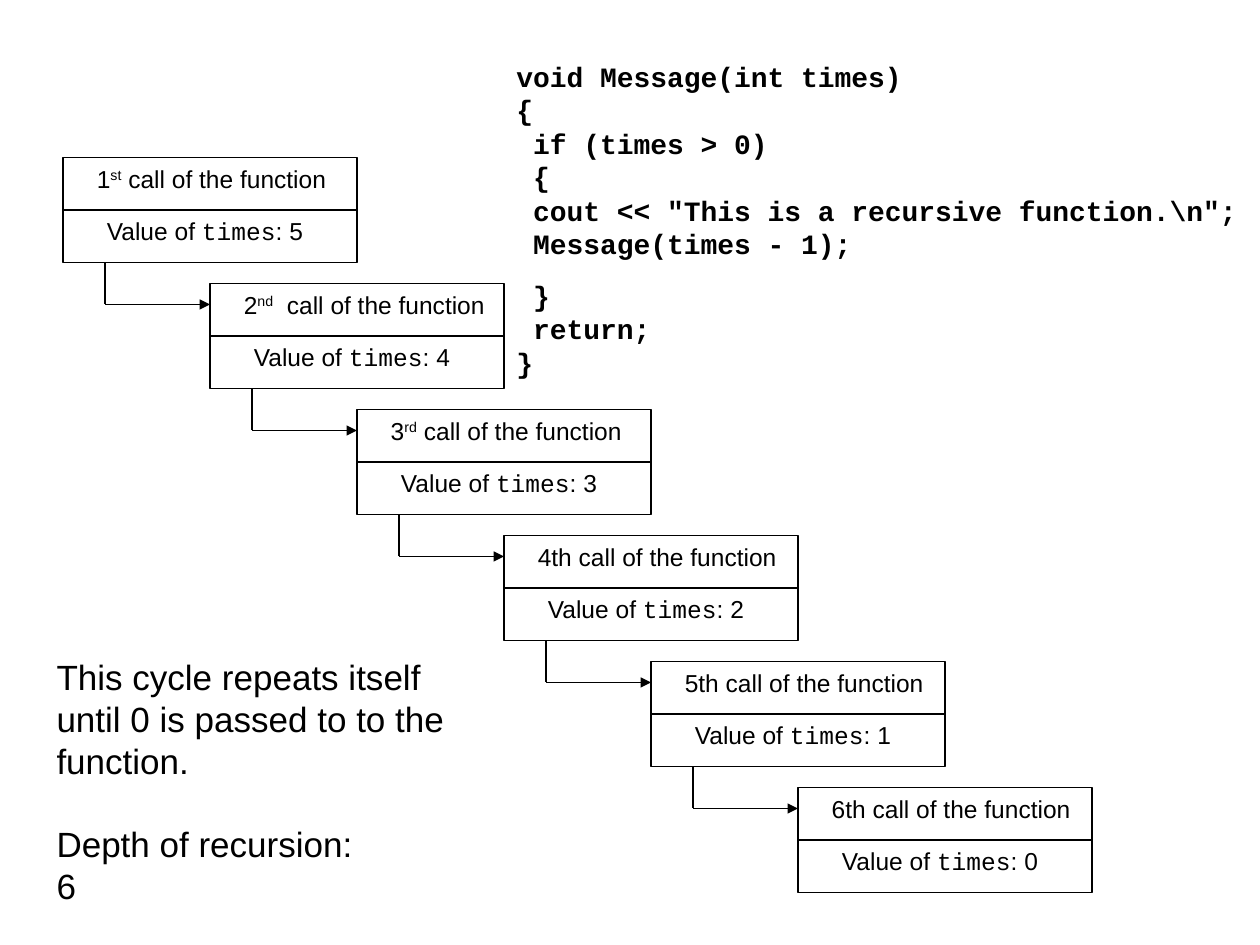
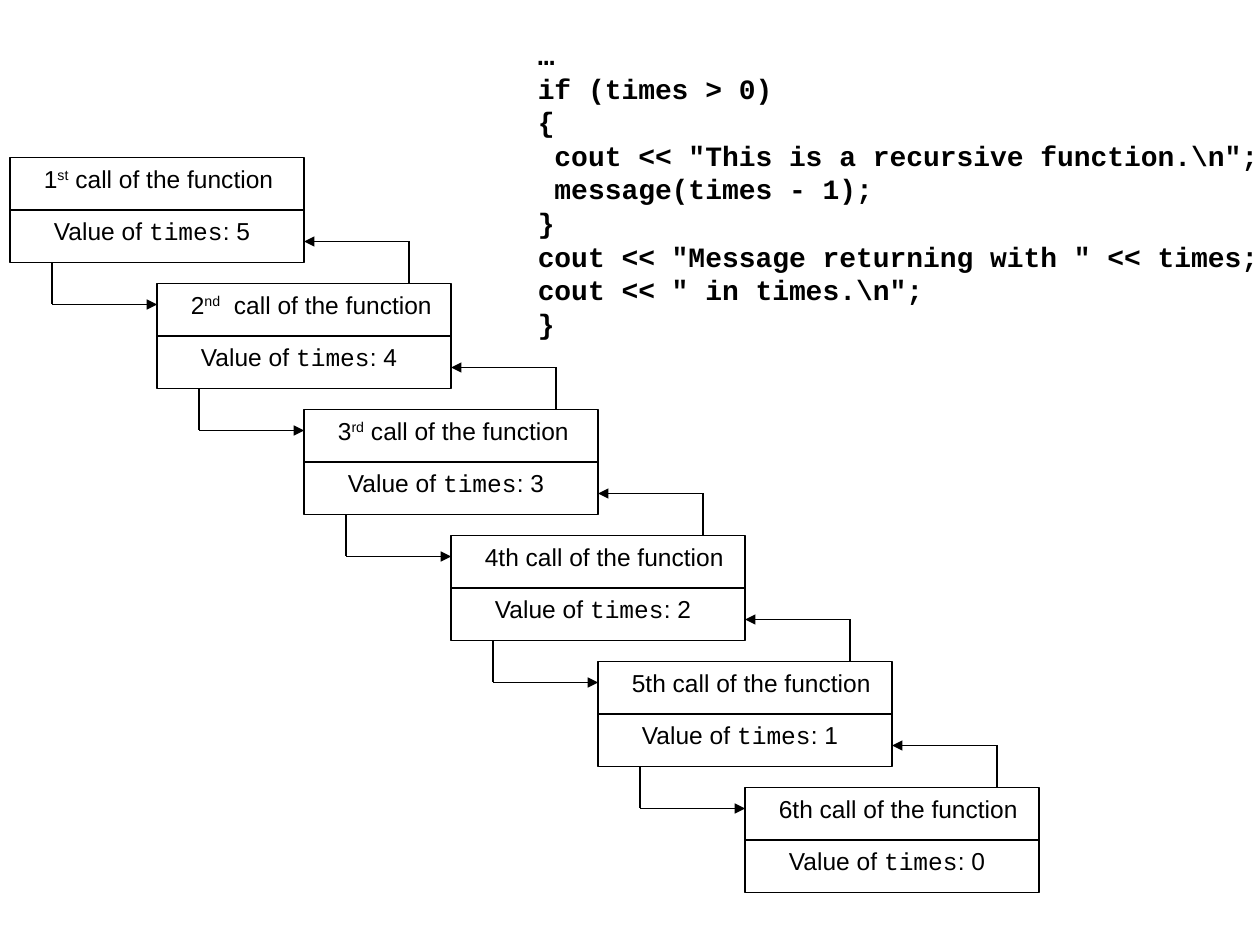
from pptx import Presentation
from pptx.dml.color import RGBColor
from pptx.enum.shapes import MSO_CONNECTOR, MSO_SHAPE
from pptx.enum.text import MSO_AUTO_SIZE
from pptx.oxml.ns import qn
from pptx.util import Inches, Pt
from lxml import etree

STRAIGHT = MSO_CONNECTOR.STRAIGHT
RECTANGLE = MSO_SHAPE.RECTANGLE
GROW = MSO_AUTO_SIZE.SHAPE_TO_FIT_TEXT

# Shared look
INK = "000000"
SANS = "Arial"
MONO = "Courier New"
LINE_WIDTH = 0.75

# Staircase of calls
STEP_X, STEP_Y = 7 / 6, 1
CALL_WIDTH, CALL_HEIGHT = 7 / 3, 5 / 6
FIRST_TOP = 1.25
ARROW_INSET = 1 / 3
ARROW_RISE = 1 / 3
CALLS = [
    ("1", "st", " call of the function"),
    ("2", "nd", "  call of the function"),
    ("3", "rd", " call of the function"),
    ("4th call of the function",),
    ("5th call of the function",),
    ("6th call of the function",),
]

CODE_CALLING = [
    ["void Message(int times)", "{", " if (times > 0)", " {",
     ' cout << "This is a recursive function.\\n";', " Message(times ‑ 1);"],
    [" }", " return;", "}"],
]
CODE_RETURNING = [
    ["…", "if (times > 0)", "{",
     ' cout << "This is a recursive function.\\n";',
     " message(times - 1);", "}",
     'cout << "Message returning with " << times;',
     'cout << " in times.\\n";', "}"],
]


def color(hex_text):
    return RGBColor.from_string(hex_text)


def add_line(page, start, end, arrow=False):
    line = page.shapes.add_connector(
        STRAIGHT, *(Inches(value) for value in (*start, *end)))
    line.line.color.rgb = color(INK)
    line.line.width = Pt(LINE_WIDTH)
    if arrow:
        outline = line.line._get_or_add_ln()
        etree.SubElement(outline, qn("a:tailEnd"), type="triangle")
    etree.SubElement(line._element.spPr, qn("a:effectLst"))
    return line


def add_text_box(page, left, top, width, height, wrap=True):
    box = page.shapes.add_textbox(
        Inches(left), Inches(top), Inches(width), Inches(height))
    box.text_frame.word_wrap = wrap
    box.text_frame.auto_size = GROW
    return box.text_frame


def add_span(para, text, size, font=SANS, bold=False, raised=False):
    span = para.add_run()
    span.text = text
    span.font.size = Pt(size)
    span.font.name = font
    span.font.bold = bold
    span.font.color.rgb = color(INK)
    if raised:
        span._r.get_or_add_rPr().set("baseline", "30000")


def add_lines(para, lines, size, **style):
    for index, text in enumerate(lines):
        if index:
            para.add_line_break()
        add_span(para, text, size, **style)


def add_call(page, left, top, title, times):
    box = page.shapes.add_shape(
        RECTANGLE, Inches(left), Inches(top),
        Inches(CALL_WIDTH), Inches(CALL_HEIGHT))
    box.shadow.inherit = False
    box.fill.background()
    box.line.color.rgb = color(INK)
    box.line.width = Pt(LINE_WIDTH)

    middle = top + CALL_HEIGHT / 2
    divider = add_line(page, (left, middle), (left + CALL_WIDTH, middle))
    divider.begin_connect(box, 1)
    divider.end_connect(box, 3)

    para = add_text_box(page, left + 0.17, top, 2.16, 0.34).paragraphs[0]
    for index, text in enumerate(title):
        add_span(para, text, 14, raised=index == 1)
    para = add_text_box(page, left + 0.25, middle, 1.93, 0.34).paragraphs[0]
    add_span(para, "Value of ", 14)
    add_span(para, "times", 14, font=MONO)
    add_span(para, f": {times}", 14)


def add_elbow(page, start, rise, end_x):
    """A vertical line, then a horizontal arrow from its end."""
    corner = (start[0], start[1] + rise)
    add_line(page, start, corner)
    add_line(page, corner, (end_x, corner[1]), arrow=True)


def add_staircase(page, first_left, returning=False):
    for index, title in enumerate(CALLS):
        left = first_left + index * STEP_X
        top = FIRST_TOP + index * STEP_Y
        add_call(page, left, top, title, len(CALLS) - 1 - index)
        if index == len(CALLS) - 1:
            break
        # Call to the next box, and the return from it
        next_left, next_top = left + STEP_X, top + STEP_Y
        add_elbow(page, (left + ARROW_INSET, top + CALL_HEIGHT),
                  ARROW_RISE, next_left)
        if returning:
            add_elbow(page, (next_left + CALL_WIDTH - ARROW_INSET, next_top),
                      -ARROW_RISE, left + CALL_WIDTH)


def add_code(page, left, top, width, height, blocks):
    frame = add_text_box(page, left, top, width, height)
    for index, lines in enumerate(blocks):
        para = frame.add_paragraph() if index else frame.paragraphs[0]
        para.space_before = Pt(10)
        add_lines(para, lines, 16, font=MONO, bold=True)


def add_note(page, left, top, width, height, lines):
    frame = add_text_box(page, left, top, width, height, wrap=False)
    add_lines(frame.paragraphs[0], lines, 20)


def main():
    deck = Presentation()
    deck.slide_width, deck.slide_height = Inches(10), Inches(7.5)
    blank = deck.slide_layouts[6]

    # Slide 1: the calls go down
    page = deck.slides.add_slide(blank)
    add_staircase(page, 0.5)
    add_note(page, 0.35, 5.15, 3.28, 1.1,
             ["This cycle repeats itself", "until 0 is passed to to the",
              "function."])
    add_note(page, 0.35, 6.48, 2.78, 0.44, ["Depth of recursion: 6"])
    add_code(page, 4, 0.42, 6.08, 2.64, CODE_CALLING)

    # Slide 2: the calls return
    page = deck.slides.add_slide(blank)
    add_staircase(page, 0.08, returning=True)
    add_code(page, 4.17, 0.25, 6.17, 2.5, CODE_RETURNING)

    deck.save("out.pptx")


if __name__ == "__main__":
    main()
